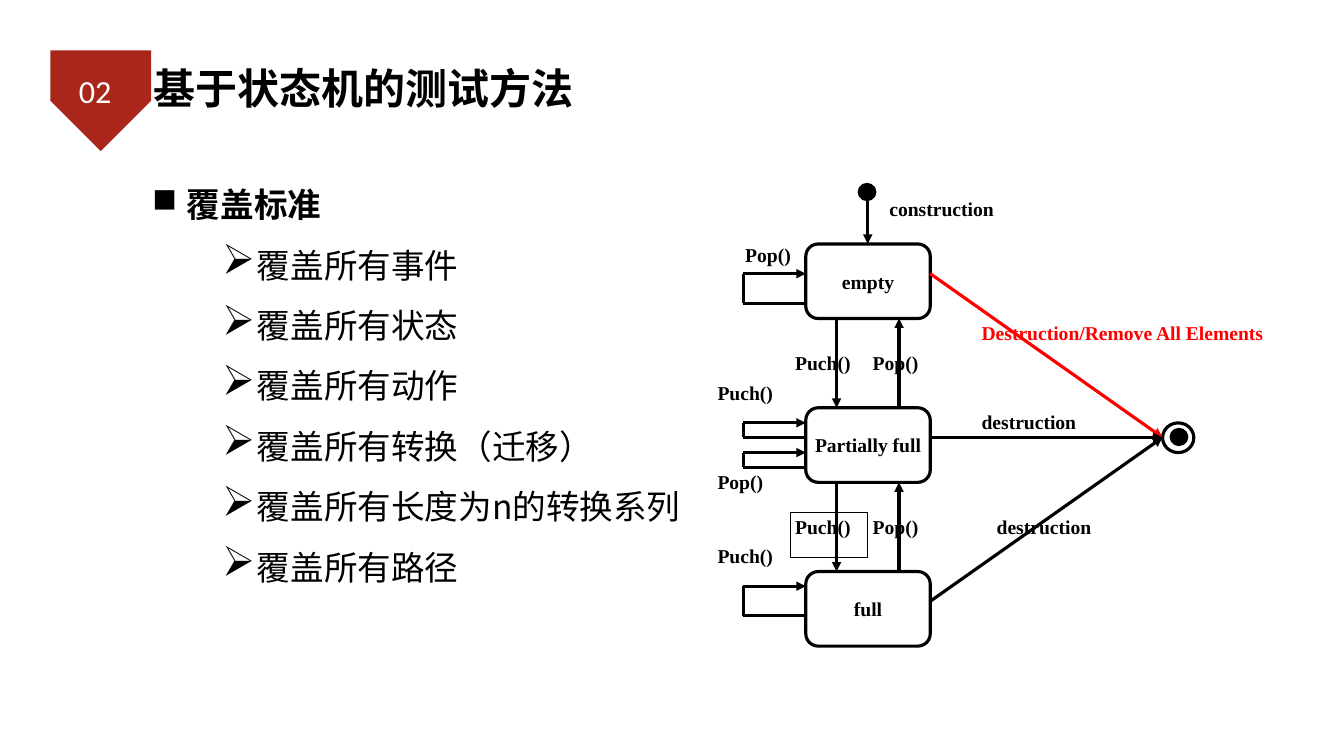
from dataclasses import dataclass
from typing import Optional

from lxml.etree import SubElement
from pptx import Presentation
from pptx.dml.color import RGBColor
from pptx.enum.shapes import MSO_CONNECTOR, MSO_SHAPE
from pptx.enum.text import MSO_ANCHOR, PP_ALIGN
from pptx.oxml.ns import qn
from pptx.util import Inches, Pt

BLACK = RGBColor(0x00, 0x00, 0x00)
WHITE = RGBColor(0xFF, 0xFF, 0xFF)
RED = RGBColor(0xFF, 0x00, 0x00)
BRICK = RGBColor(0xA8, 0x27, 0x1A)
HEADING_FONT = "Noto Sans CJK SC"
DIAGRAM_FONT = "Times New Roman"
STROKE = 4.5

STATE_LEFT, STATE_TOP, STATE_WIDTH, STATE_HEIGHT, STATE_PITCH = 15.99, 4.84, 2.47, 1.48, 3.25
STATE_RIGHT = STATE_LEFT + STATE_WIDTH
LOOP_LEFT = 14.75
PUSH_X, START_X, POP_X = 16.6, 17.22, 17.84
FINAL_X, FINAL_Y = 23.07, 8.68


@dataclass(frozen=True)
class Label:
    """A caption beside a transition."""
    text: str
    left: float
    top: float
    width: float = 1.54
    color: RGBColor = BLACK
    framed: bool = False


@dataclass(frozen=True)
class Arrow:
    """A straight transition between two points."""
    start: tuple[float, float]
    end: tuple[float, float]
    color: RGBColor = BLACK
    pointed: bool = True


@dataclass(frozen=True)
class Bullet:
    """One line of the outline."""
    text: str
    mark: str = "➢"
    level: int = 2
    indent: float = 2.08
    spacing: float = 86.3
    mark_percent: int = 125
    bold: bool = False


STATES = ("empty", "Partially full", "full")
LOOPS = ((5.43, 6.02), (8.39, 8.68), (8.98, 9.27), (11.63, 12.22))
LABELS = (
    Label("construction", 17.55, 3.85, 2.47),
    Label("Destruction/Remove All Elements", 19.38, 6.32, 5.95, RED),
    Label("destruction", 19.68, 10.16, 2.47),
    Label("destruction", 19.38, 8.09, 2.47),
    Label("Puch()", 15.68, 10.16, framed=True),
    Label("Pop()", 17.22, 10.16),
    Label("Puch()", 15.68, 6.91),
    Label("Pop()", 17.22, 6.91),
    Label("Pop()", 14.69, 4.77, 1.65),
    Label("Puch()", 14.14, 10.75),
    Label("Puch()", 14.14, 7.5),
    Label("Pop()", 14.14, 9.27),
)
BULLETS = (
    Bullet("覆盖标准", "■", 0, 0.69, 119, 100, True),
    Bullet("覆盖所有事件"),
    Bullet("覆盖所有状态"),
    Bullet("覆盖所有动作"),
    Bullet("覆盖所有转换（迁移）"),
    Bullet("覆盖所有长度为n的转换系列"),
    Bullet("覆盖所有路径"),
)


def add_span(para, text: str, *, size: float, font: str, color: RGBColor = BLACK,
             bold: bool = False) -> None:
    span = para.add_run()
    span.text = text
    span.font.size = Pt(size)
    span.font.name = font
    span.font.bold = bold
    span.font.color.rgb = color
    SubElement(span.font._element, qn("a:ea")).set("typeface", font)


def add_box(page, left: float, top: float, width: float, height: float, *,
            inset: Optional[float] = None, anchor=MSO_ANCHOR.TOP):
    box = page.shapes.add_textbox(Inches(left), Inches(top), Inches(width), Inches(height))
    frame = box.text_frame
    frame.word_wrap = True
    frame.vertical_anchor = anchor
    if inset is not None:
        frame.margin_left = frame.margin_right = Inches(inset)
        frame.margin_top = frame.margin_bottom = Inches(inset)
    return box


def add_outline(page, kind, left: float, top: float, width: float, height: float, *,
                filled: bool = False):
    shape = page.shapes.add_shape(kind, Inches(left), Inches(top), Inches(width), Inches(height))
    shape.shadow.inherit = False
    if filled:
        shape.fill.solid()
        shape.fill.fore_color.rgb = BLACK
    else:
        shape.fill.background()
    shape.line.color.rgb = BLACK
    shape.line.width = Pt(STROKE)
    return shape


def add_arrow(page, arrow: Arrow) -> None:
    ends = [Inches(value) for value in (*arrow.start, *arrow.end)]
    connector = page.shapes.add_connector(MSO_CONNECTOR.STRAIGHT, *ends)
    connector.line.color.rgb = arrow.color
    connector.line.width = Pt(STROKE)
    if arrow.pointed:
        SubElement(connector.line._get_or_add_ln(), qn("a:tailEnd")).set("type", "triangle")
    SubElement(connector._element.spPr, qn("a:effectLst"))


def add_label(page, label: Label) -> None:
    box = add_box(page, label.left, label.top, label.width, 0.89)
    if label.framed:
        box.line.color.rgb = BLACK
        box.line.width = Pt(0.75)
    para = box.text_frame.paragraphs[0]
    para.alignment = PP_ALIGN.JUSTIFY
    add_span(para, label.text, size=28, font=DIAGRAM_FONT, color=label.color, bold=True)


def add_state(page, name: str, top: float) -> None:
    shape = add_outline(page, MSO_SHAPE.FLOWCHART_ALTERNATE_PROCESS,
                        STATE_LEFT, top, STATE_WIDTH, STATE_HEIGHT)
    shape.text_frame.vertical_anchor = MSO_ANCHOR.MIDDLE
    para = shape.text_frame.paragraphs[0]
    para.alignment = PP_ALIGN.CENTER
    add_span(para, name, size=28, font=DIAGRAM_FONT, bold=True)


def add_loop(page, top: float, bottom: float) -> None:
    add_arrow(page, Arrow((STATE_LEFT, bottom), (LOOP_LEFT, bottom), pointed=False))
    add_arrow(page, Arrow((LOOP_LEFT, bottom), (LOOP_LEFT, top), pointed=False))
    add_arrow(page, Arrow((LOOP_LEFT, top), (STATE_LEFT, top)))


def add_badge(page) -> None:
    corners = [(1.86, 0.9), (2.66, 1.35), (2.66, 2.26), (1.86, 2.72), (1.06, 2.26), (1.06, 1.35)]
    points = []
    for index, corner in enumerate(corners):
        before, after = corners[index - 1], corners[(index + 1) % len(corners)]
        enter = [c + 0.11 * (b - c) for c, b in zip(corner, before)]
        leave = [c + 0.11 * (a - c) for c, a in zip(corner, after)]
        for step in range(7):
            t = step / 6
            points.append(tuple((1 - t) ** 2 * e + 2 * t * (1 - t) * c + t * t * v
                                for e, c, v in zip(enter, corner, leave)))
    builder = page.shapes.build_freeform(*points[0], scale=Inches(1))
    builder.add_line_segments(points[1:], close=True)
    badge = builder.convert_to_shape()
    badge.shadow.inherit = False
    badge.fill.solid()
    badge.fill.fore_color.rgb = BRICK
    badge.line.fill.background()
    box = add_box(page, 1.02, 1.27, 1.74, 1.05, inset=0.05, anchor=MSO_ANCHOR.MIDDLE)
    para = box.text_frame.paragraphs[0]
    para.alignment = PP_ALIGN.CENTER
    add_span(para, "02", size=46, font="Calibri", color=WHITE)


def add_outline_text(page) -> None:
    frame = add_box(page, 2.96, 2.74, 10.77, 11.29, inset=0.06).text_frame
    for index, bullet in enumerate(BULLETS):
        para = frame.add_paragraph() if index else frame.paragraphs[0]
        para.level = bullet.level
        para.line_spacing = Pt(bullet.spacing)
        properties = para._p.get_or_add_pPr()
        properties.set("marL", str(Inches(bullet.indent)))
        properties.set("indent", str(Inches(-0.69)))
        SubElement(properties, qn("a:buSzPct")).set("val", str(bullet.mark_percent * 1000))
        SubElement(properties, qn("a:buChar")).set("char", bullet.mark)
        add_span(para, bullet.text, size=48, font=HEADING_FONT, bold=bullet.bold)


def add_diagram(page) -> None:
    add_outline(page, MSO_SHAPE.OVAL, 17.05, 3.66, 0.31, 0.3, filled=True)
    add_outline(page, MSO_SHAPE.OVAL, FINAL_X, 8.39, 0.62, 0.59)
    add_outline(page, MSO_SHAPE.OVAL, 23.24, 8.52, 0.31, 0.3, filled=True)
    add_arrow(page, Arrow((START_X, 3.96), (START_X, STATE_TOP)))
    for index, name in enumerate(STATES):
        top = STATE_TOP + index * STATE_PITCH
        add_state(page, name, top)
        if index < len(STATES) - 1:
            bottom, following = top + STATE_HEIGHT, top + STATE_PITCH
            add_arrow(page, Arrow((PUSH_X, bottom), (PUSH_X, following)))
            add_arrow(page, Arrow((POP_X, following), (POP_X, bottom)))
    for height, color in ((5.43, RED), (FINAL_Y, BLACK), (11.93, BLACK)):
        add_arrow(page, Arrow((STATE_RIGHT, height), (FINAL_X, FINAL_Y), color))
    for top, bottom in LOOPS:
        add_loop(page, top, bottom)
    for label in LABELS:
        add_label(page, label)


def main() -> None:
    """Build the slide on state-machine-based testing."""
    deck = Presentation()
    deck.slide_width, deck.slide_height = Inches(26.67), Inches(15)
    page = deck.slides.add_slide(deck.slide_layouts[6])
    add_badge(page)
    title = add_box(page, 2.99, 1.18, 9.18, 1.14, inset=0.06, anchor=MSO_ANCHOR.MIDDLE)
    add_span(title.text_frame.paragraphs[0], "基于状态机的测试方法", size=60, font=HEADING_FONT, bold=True)
    add_outline_text(page)
    add_diagram(page)
    deck.save("out.pptx")


if __name__ == "__main__":
    main()
